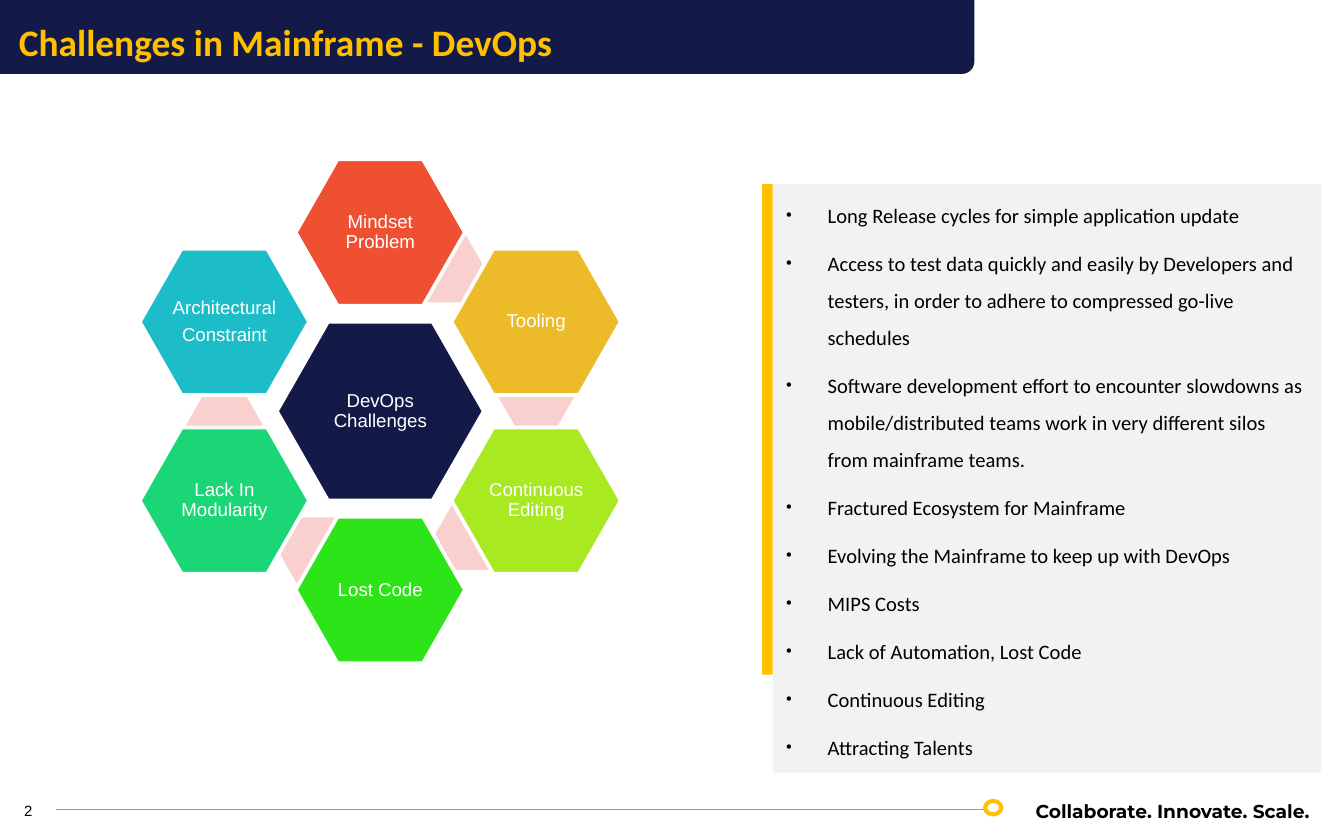
"""Build the slide on DevOps challenges for the mainframe."""
from typing import NamedTuple

from lxml.etree import SubElement
from pptx import Presentation
from pptx.dml.color import RGBColor
from pptx.enum.shapes import MSO_CONNECTOR, MSO_SHAPE as Preset
from pptx.enum.text import MSO_ANCHOR as Anchor, MSO_AUTO_SIZE as AutoSize, PP_ALIGN as Align
from pptx.oxml.ns import qn
from pptx.util import Inches, Pt

COLORS = {
    "navy": "141A48", "gold": "FFC000", "white": "FFFFFF", "black": "000000",
    "panel": "F2F2F2", "rule": "97999B", "link": "F9D0CE", "red": "F05032",
    "amber": "EDBA29", "lime": "A8E921", "green": "2DE419", "mint": "1BD676",
    "teal": "1CBDC9",
}
HUB_X, HUB_Y = 2.83, 3.06
STEP_X, STEP_Y = 1.16, 0.665


class Cell(NamedTuple):
    label: str
    color: str
    column: int
    row: int


class Link(NamedTuple):
    dx: float
    dy: float


CELLS = [
    Cell("Mindset Problem", "red", 0, -2),
    Cell("Tooling", "amber", 1, -1),
    Cell("Continuous Editing", "lime", 1, 1),
    Cell("Lost Code", "green", 0, 2),
    Cell("Lack In Modularity", "mint", -1, 1),
    Cell("Architectural\nConstraint", "teal", -1, -1),
]
LINKS = [Link(0.49, -1.06), Link(1.16, -0.12), Link(0.69, 0.93),
         Link(-0.47, 1.04), Link(-1.16, 0.11)]
CHALLENGES = [
    "Long Release cycles for simple application update",
    "Access to test data quickly and easily by Developers and testers, "
    "in order to adhere to compressed go-live schedules",
    "Software development effort to encounter slowdowns as mobile/distributed "
    "teams work in very different silos from mainframe teams.",
    "Fractured Ecosystem for Mainframe",
    "Evolving the Mainframe to keep up with DevOps",
    "MIPS Costs",
    "Lack of Automation, Lost Code",
    "Continuous Editing",
    "Attracting Talents",
]


def rgb(color: str) -> RGBColor:
    return RGBColor.from_string(COLORS[color])


def add_preset(slide, preset, left: float, top: float, width: float, height: float,
               fill: str = "", line: str = "", weight: float = 1):
    shape = slide.shapes.add_shape(preset, Inches(left), Inches(top),
                                   Inches(width), Inches(height))
    shape.shadow.inherit = False
    if fill:
        shape.fill.solid()
        shape.fill.fore_color.rgb = rgb(fill)
    else:
        shape.fill.background()
    if line:
        shape.line.color.rgb = rgb(line)
        shape.line.width = Pt(weight)
    else:
        shape.line.fill.background()
    return shape


def set_frame(frame, side: float, edge: float, anchor) -> None:
    frame.word_wrap = True
    frame.auto_size = AutoSize.NONE
    frame.vertical_anchor = anchor
    frame.margin_left = frame.margin_right = Inches(side)
    frame.margin_top = frame.margin_bottom = Inches(edge)


def style_text(frame, font: str, size: float, color: str, bold: bool = False,
               align=Align.LEFT, spacing: float = 1, after: float = 0) -> None:
    for paragraph in frame.paragraphs:
        paragraph.alignment = align
        paragraph.line_spacing = spacing
        paragraph.space_after = Pt(after)
        for run in paragraph.runs:
            run.font.name = font
            run.font.size = Pt(size)
            run.font.bold = bold
            run.font.color.rgb = rgb(color)


def add_hexagon(slide, x: float, y: float, width: float, height: float,
                fill: str, label: str = "") -> None:
    hexagon = add_preset(slide, Preset.HEXAGON, x - width / 2, y - height / 2, width, height,
                         fill, "white" if label else "", 2)
    hexagon.adjustments[0] = 0.286
    if label:
        frame = hexagon.text_frame
        set_frame(frame, 0.01, 0.01, Anchor.MIDDLE)
        frame.text = label
        style_text(frame, "Arial", 10, "white", align=Align.CENTER, spacing=0.9, after=3.5)


def add_honeycomb(slide) -> None:
    add_hexagon(slide, HUB_X, HUB_Y, 1.54, 1.33, "navy", "DevOps Challenges")
    for link in LINKS:
        add_hexagon(slide, HUB_X + link.dx, HUB_Y + link.dy, 0.58, 0.5, "link")
    for cell in CELLS:
        add_hexagon(slide, HUB_X + cell.column * STEP_X, HUB_Y + cell.row * STEP_Y,
                    1.26, 1.09, cell.color, cell.label)


def add_bullet(paragraph) -> None:
    properties = paragraph._p.get_or_add_pPr()
    properties.set("marL", str(Inches(0.31)))
    properties.set("indent", str(Inches(-0.31)))
    SubElement(properties, qn("a:buSzPct"), val="80000")
    SubElement(properties, qn("a:buFont"), typeface="Arial")
    SubElement(properties, qn("a:buChar"), char="•")


def add_challenge_list(slide) -> None:
    panel = add_preset(slide, Preset.RECTANGLE, 5.75, 1.37, 4.08, 4.38, "panel")
    frame = panel.text_frame
    set_frame(frame, 0.1, 0.05, Anchor.TOP)
    frame.text = "\n".join(CHALLENGES)
    for paragraph in frame.paragraphs:
        add_bullet(paragraph)
    style_text(frame, "Calibri", 11, "black", spacing=1.5, after=5.9)
    add_preset(slide, Preset.RECTANGLE, 5.67, 1.37, 0.08, 3.65, "gold")


def add_header(slide) -> None:
    band = add_preset(slide, Preset.ROUND_1_RECTANGLE, -0.01, 0, 7.26, 0.55, "navy")
    band.rotation = 180
    band._element.spPr.xfrm.set("flipH", "1")
    title = slide.shapes.title
    title.left, title.top = Inches(0.14), Inches(0.14)
    title.width, title.height = Inches(6.95), Inches(0.34)
    set_frame(title.text_frame, 0, 0, Anchor.TOP)
    title.text_frame.text = "Challenges in Mainframe - DevOps"
    style_text(title.text_frame, "Calibri", 20, "gold", bold=True)
    slide.shapes._spTree.append(title._element)


def add_footer(slide) -> None:
    rule = slide.shapes.add_connector(MSO_CONNECTOR.STRAIGHT, Inches(0.42), Inches(6.02),
                                      Inches(7.33), Inches(6.02))
    rule.line.color.rgb = rgb("rule")
    rule.line.width = Pt(0.5)
    SubElement(rule._element.spPr, qn("a:effectLst"))
    add_preset(slide, Preset.OVAL, 7.33, 5.96, 0.12, 0.1, line="gold", weight=2.25)

    number = slide.shapes.add_textbox(Inches(0.16), Inches(6), Inches(0.34), Inches(0.11))
    set_frame(number.text_frame, 0.02, 0.01, Anchor.BOTTOM)
    number.text_frame.text = "2"
    style_text(number.text_frame, "Arial", 8, "black")

    tagline = slide.shapes.add_textbox(Inches(6.83), Inches(5.9), Inches(3.01), Inches(0.27))
    set_frame(tagline.text_frame, 0.1, 0.05, Anchor.TOP)
    tagline.text_frame.text = "Collaborate. Innovate. Scale."
    style_text(tagline.text_frame, "Montserrat", 10, "black", bold=True, align=Align.RIGHT)


def main() -> None:
    deck = Presentation()
    deck.slide_width, deck.slide_height = Inches(10), Inches(6.25)
    slide = deck.slides.add_slide(deck.slide_layouts[5])
    add_header(slide)
    add_footer(slide)
    add_challenge_list(slide)
    add_honeycomb(slide)
    deck.save("out.pptx")


if __name__ == "__main__":
    main()
